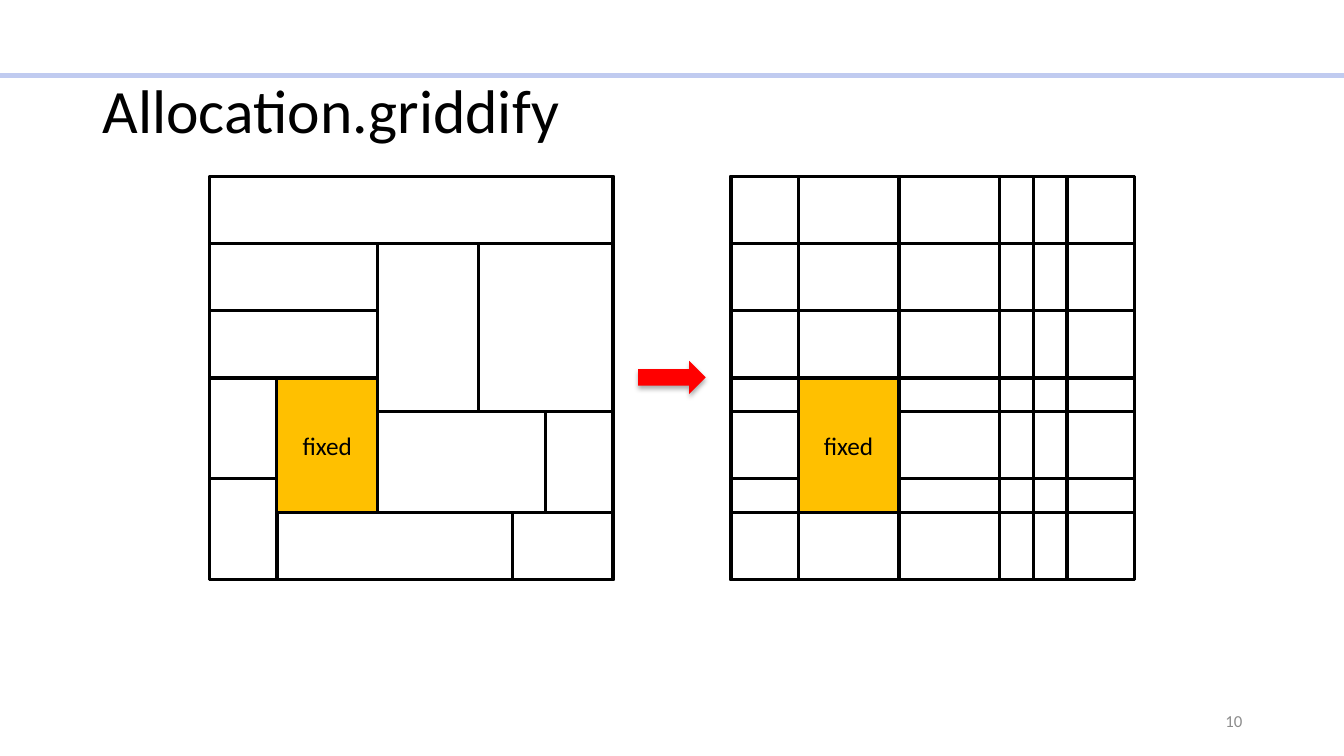
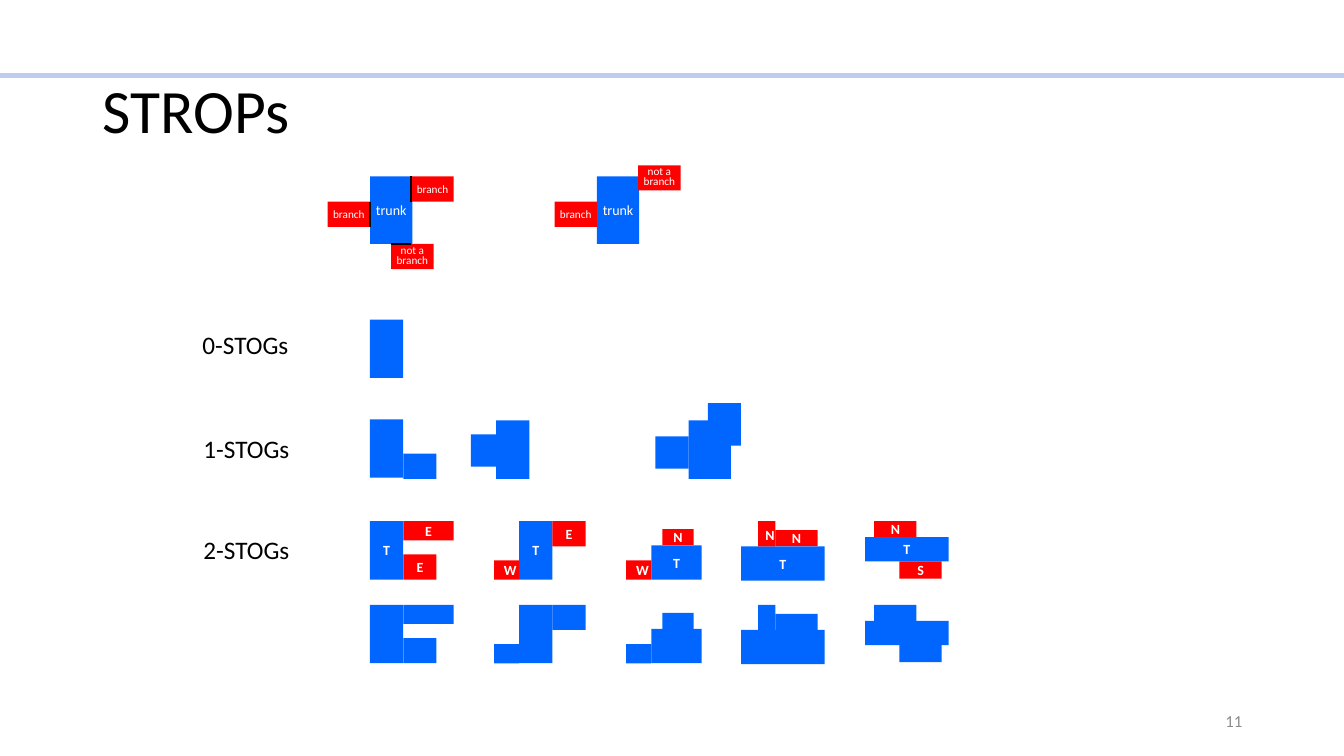
"""Build two slides on floorplan grids and trunk-and-branch polygons."""
from lxml.etree import SubElement
from pptx import Presentation
from pptx.dml.color import RGBColor
from pptx.enum.shapes import MSO_CONNECTOR, MSO_SHAPE
from pptx.enum.text import MSO_ANCHOR, PP_ALIGN
from pptx.oxml import parse_xml
from pptx.oxml.ns import nsdecls, qn
from pptx.util import Inches, Pt

BLACK = RGBColor(0x00, 0x00, 0x00)
WHITE = RGBColor(0xFF, 0xFF, 0xFF)
GRAY = RGBColor(0x8C, 0x8C, 0x8C)
BAND = RGBColor(0xC0, 0xCB, 0xF0)
AMBER = RGBColor(0xFF, 0xC0, 0x00)
RED = RGBColor(0xFF, 0x00, 0x00)
BLUE = RGBColor(0x00, 0x66, 0xFF)
FONT = "Calibri"

CELL = 1 / 3
PANEL_TOP = 1.75
LEFT_PANEL, RIGHT_PANEL = 2.08, 7.25
TILES = [
    (0, 0, 12, 12), (0, 0, 12, 2), (0, 2, 5, 2), (0, 4, 5, 2),
    (0, 6, 2, 3), (0, 9, 2, 3), (2, 10, 7, 2), (9, 10, 3, 2),
    (10, 7, 2, 3), (5, 7, 5, 3), (5, 2, 3, 5),
]
FIXED_TILE = (2, 6, 3, 4)
CUTS = [
    (2, 6, 2, 0), (5, 12, 5, 0), (8, 12, 8, 0), (9, 12, 9, 0), (10, 12, 10, 0),
    (5, 4, 12, 4), (5, 6, 12, 6), (0, 7, 2, 7), (5, 9, 12, 9), (0, 10, 2, 10),
]

TRUNK_SIZE = (0.42, 0.67)
BRANCH_SIZE = (0.42, 0.25)
TRUNK_EXAMPLES = [
    ((3.67, 1.75), [(4.08, 1.75, "branch"), (3.25, 2, "branch"), (3.88, 2.42, "not a branch")]),
    ((5.92, 1.75), [(5.5, 2, "branch"), (6.33, 1.64, "not a branch")]),
]
CONTACTS = [(4.08, 1.75, 4.08, 2), (3.67, 2, 3.67, 2.25), (4.08, 2.42, 3.88, 2.42)]
ROW_LABELS = [("0-STOGs", 1.91, 3.22), ("1-STOGs", 1.92, 4.25), ("2-STOGs", 1.92, 5.25)]
PLAIN_FIGURES = [
    [(3.67, 3.17, 0.33, 0.58)],
    [(3.67, 4.16, 0.33, 0.58), (4, 4.5, 0.33, 0.25)],
    [(4.92, 4.17, 0.33, 0.58), (4.67, 4.31, 0.25, 0.32)],
    [(6.83, 4.17, 0.42, 0.58), (7.02, 4, 0.33, 0.42), (6.5, 4.33, 0.33, 0.32)],
]
TWO_STOGS = [
    [("T", 3.67, 5.17, 0.33, 0.58), ("E", 4, 5.5, 0.33, 0.25), ("E", 4, 5.17, 0.5, 0.19)],
    [("T", 5.15, 5.17, 0.33, 0.58), ("E", 5.48, 5.17, 0.33, 0.25), ("W", 4.9, 5.56, 0.25, 0.19)],
    [("T", 6.46, 5.41, 0.5, 0.34), ("N", 6.57, 5.25, 0.31, 0.16), ("W", 6.21, 5.56, 0.25, 0.19)],
    [("T", 7.35, 5.42, 0.83, 0.34), ("N", 7.52, 5.17, 0.17, 0.25), ("N", 7.69, 5.26, 0.42, 0.16)],
    [("N", 8.67, 5.17, 0.42, 0.16), ("S", 8.92, 5.57, 0.42, 0.17), ("T", 8.58, 5.33, 0.83, 0.24)],
]
MERGED_DROP = 0.83
NARROW = 0.2


def write(box, text, size, color, align=PP_ALIGN.LEFT, bold=False):
    para = box.text_frame.paragraphs[0]
    para.text = text
    para.alignment = align
    font = para.font
    font.name, font.size, font.bold = FONT, Pt(size), bold
    font.color.rgb = color
    return para


def add_text(page, place, text, size, color=BLACK, align=PP_ALIGN.LEFT,
             anchor=MSO_ANCHOR.MIDDLE, wrap=True):
    box = page.shapes.add_textbox(*map(Inches, place))
    box.text_frame.word_wrap = wrap
    box.text_frame.vertical_anchor = anchor
    return write(box, text, size, color, align)


def add_box(shapes, place, fill=None, outline=None, kind=MSO_SHAPE.RECTANGLE):
    box = shapes.add_shape(kind, *map(Inches, place))
    box.shadow.inherit = False
    if fill is None:
        box.fill.background()
    else:
        box.fill.solid()
        box.fill.fore_color.rgb = fill
    if outline is None:
        box.line.fill.background()
    else:
        box.line.color.rgb = outline
        box.line.width = Pt(2.25)
    return box


def add_line(shapes, ends, color, width):
    line = shapes.add_connector(MSO_CONNECTOR.STRAIGHT, *map(Inches, ends))
    line.line.color.rgb = color
    line.line.width = Pt(width)
    SubElement(line._element.spPr, qn("a:effectLst"))


def add_page(deck, title, number):
    page = deck.slides.add_slide(deck.slide_layouts[6])
    add_line(page.shapes, (0, 0.75, 13.33, 0.75), BAND, 4)
    add_text(page, (0.92, 0.4, 11.5, 1.45), title, 44).line_spacing = 0.9
    add_text(page, (9.42, 6.95, 3, 0.4), str(number), 12, GRAY, PP_ALIGN.RIGHT)
    return page


def add_panel(page, left, cuts=()):
    def on_grid(x, y):
        return left + x * CELL, PANEL_TOP + y * CELL

    def tile_place(x, y, width, height):
        return *on_grid(x, y), width * CELL, height * CELL

    shapes = page.shapes.add_group_shape().shapes
    for tile in TILES:
        add_box(shapes, tile_place(*tile), outline=BLACK)
    fixed = add_box(shapes, tile_place(*FIXED_TILE), AMBER, BLACK)
    write(fixed, "fixed", 18, BLACK, PP_ALIGN.CENTER)
    for x1, y1, x2, y2 in cuts:
        add_line(shapes, (*on_grid(x1, y1), *on_grid(x2, y2)), BLACK, 2.25)


def add_arrow(page):
    arrow = add_box(page.shapes, (6.33, 3.58, 0.67, 0.33), RED, kind=MSO_SHAPE.RIGHT_ARROW)
    effects = arrow._element.spPr.find(qn("a:effectLst"))
    effects.append(parse_xml(
        f'<a:outerShdw {nsdecls("a")} blurRad="{Pt(3.5)}" dist="{Pt(2.2)}" dir="5400000" '
        'rotWithShape="0"><a:srgbClr val="000000"><a:alpha val="32000"/></a:srgbClr></a:outerShdw>'))


def add_part(shapes, place, text, size, fill):
    part = add_box(shapes, place, fill)
    part.text_frame.margin_left = part.text_frame.margin_right = 0
    part.text_frame.word_wrap = True
    return write(part, text, size, WHITE, PP_ALIGN.CENTER)


def add_trunk_example(page, trunk, branches):
    shapes = page.shapes.add_group_shape().shapes
    add_part(shapes, (*trunk, *TRUNK_SIZE), "trunk", 10, BLUE)
    for x, y, text in branches:
        para = add_part(shapes, (x, y, *BRANCH_SIZE), text, 8, RED)
        if " " in text:
            para.line_spacing = Pt(7)


def add_two_stog(page, parts):
    labelled = page.shapes.add_group_shape().shapes
    merged = page.shapes.add_group_shape().shapes
    for letter, x, y, width, height in parts:
        box = add_box(labelled, (x, y, width, height), BLUE if letter == "T" else RED)
        write(box, letter, 10, WHITE, PP_ALIGN.CENTER, bold=True)
        if width < NARROW:
            box.text_frame.vertical_anchor = MSO_ANCHOR.TOP
        add_box(merged, (x, y + MERGED_DROP, width, height), BLUE)


def build_griddify(deck):
    page = add_page(deck, "Allocation.griddify", 10)
    add_panel(page, LEFT_PANEL)
    add_panel(page, RIGHT_PANEL, CUTS)
    add_arrow(page)


def build_strops(deck):
    page = add_page(deck, "STROPs", 11)
    for trunk, branches in TRUNK_EXAMPLES:
        add_trunk_example(page, trunk, branches)
    for contact in CONTACTS:
        add_line(page.shapes, contact, BLACK, 1.5)
    for text, x, y in ROW_LABELS:
        add_text(page, (x, y, 1.06, 0.4), text, 18, anchor=MSO_ANCHOR.TOP, wrap=False)
    for figure in PLAIN_FIGURES:
        shapes = page.shapes.add_group_shape().shapes
        for place in figure:
            add_box(shapes, place, BLUE)
    for parts in TWO_STOGS:
        add_two_stog(page, parts)


def main():
    deck = Presentation()
    deck.slide_width, deck.slide_height = Inches(13.33), Inches(7.5)
    build_griddify(deck)
    build_strops(deck)
    deck.save("out.pptx")


if __name__ == "__main__":
    main()
